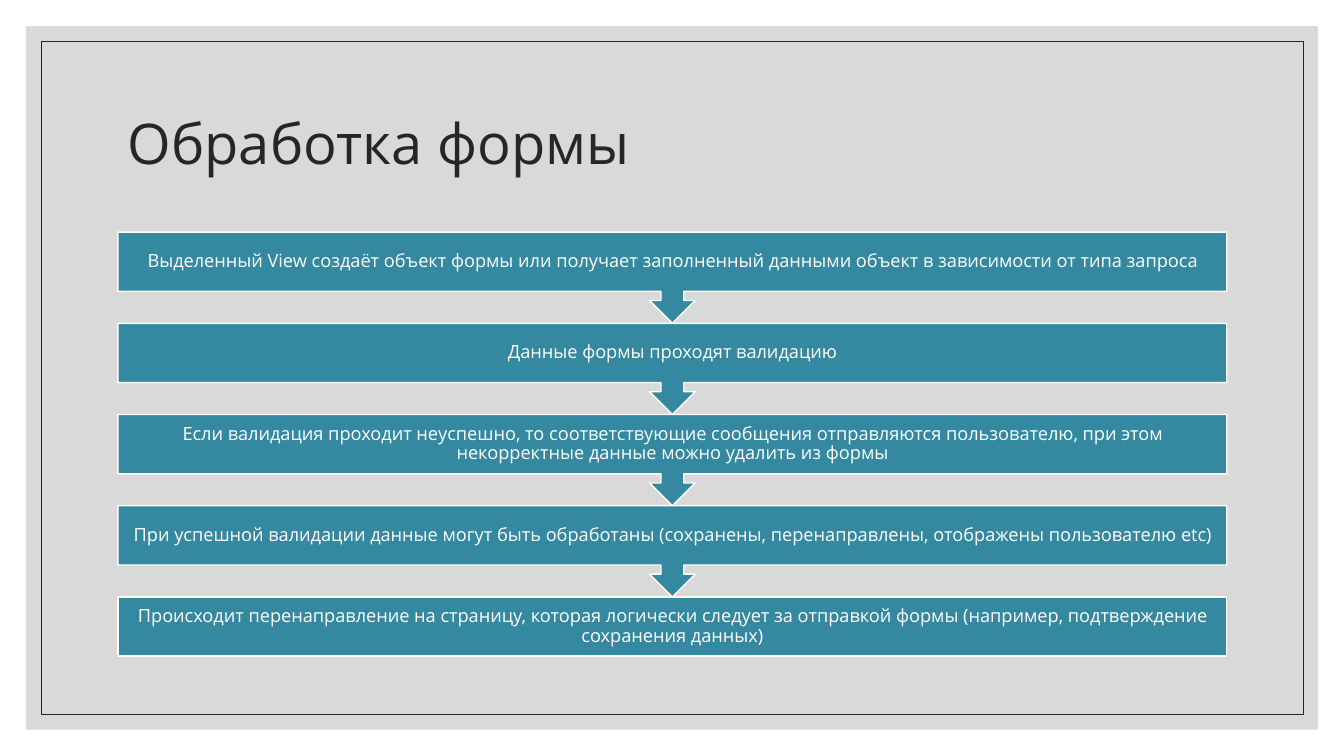
from dataclasses import dataclass

from pptx import Presentation
from pptx.dml.color import RGBColor
from pptx.enum import shapes, text
from pptx.util import Pt


@dataclass(frozen=True)
class Theme:
    font: str = "Open Sans"
    panel: str = "D9D9D9"
    ink: str = "262626"
    step: str = "3488A0"
    white: str = "FFFFFF"
    title_size: float = 40
    step_size: float = 13


@dataclass(frozen=True)
class Box:
    left: float
    top: float
    width: float
    height: float

    def points(self) -> tuple:
        return Pt(self.left), Pt(self.top), Pt(self.width), Pt(self.height)


THEME = Theme()
LEFT, WIDTH = 84.24, 792
FIRST_TOP, PITCH, BODY_RATIO = 165.8, 65.15, 0.65
STEPS = [
    "Выделенный View создаёт объект формы или получает заполненный данными объект "
    "в зависимости от типа запроса",
    "Данные формы проходят валидацию",
    "Если валидация проходит неуспешно, то соответствующие сообщения отправляются "
    "пользователю, при этом некорректные данные можно удалить из формы",
    "При успешной валидации данные могут быть обработаны (сохранены, перенаправлены, "
    "отображены пользователю etc)",
    "Происходит перенаправление на страницу, которая логически следует за отправкой "
    "формы (например, подтверждение сохранения данных)",
]


def add_shape(s, kind, box: Box, fill: str = "", line: str = "", weight: float = 1):
    sp = s.shapes.add_shape(kind, *box.points())
    sp.shadow.inherit = False
    if fill:
        sp.fill.solid()
        sp.fill.fore_color.rgb = RGBColor.from_string(fill)
    else:
        sp.fill.background()
    if line:
        sp.line.color.rgb = RGBColor.from_string(line)
        sp.line.width = Pt(weight)
    else:
        sp.line.fill.background()
    return sp


def add_label(s, box: Box, content: str, size: float, color: str, align) -> None:
    tf = s.shapes.add_textbox(*box.points()).text_frame
    tf.word_wrap = True
    tf.vertical_anchor = text.MSO_ANCHOR.MIDDLE
    tf.margin_left = tf.margin_right = tf.margin_top = tf.margin_bottom = Pt(7.2)
    p = tf.paragraphs[0]
    p.alignment = align
    p.line_spacing = 0.9
    r = p.add_run()
    r.text = content
    r.font.name = THEME.font
    r.font.size = Pt(size)
    r.font.color.rgb = RGBColor.from_string(color)


def add_step(s, index: int, content: str, is_last: bool) -> None:
    top = FIRST_TOP + index * PITCH
    body = Box(LEFT, top, WIDTH, PITCH * BODY_RATIO)
    if is_last:
        add_shape(s, shapes.MSO_SHAPE.RECTANGLE, body, THEME.step, THEME.white)
    else:
        # Turned upside down so that the arrow points to the next step
        sp = add_shape(s, shapes.MSO_SHAPE.UP_ARROW_CALLOUT,
                       Box(LEFT, top, WIDTH, PITCH), THEME.step, THEME.white)
        sp.rotation = 180
        sp.adjustments[3] = BODY_RATIO
    add_label(s, body, content, THEME.step_size, THEME.white, text.PP_ALIGN.CENTER)


prs = Presentation()
prs.slide_width, prs.slide_height = Pt(960), Pt(540)
s = prs.slides.add_slide(prs.slide_layouts[6])

# Panel and inner frame
add_shape(s, shapes.MSO_SHAPE.RECTANGLE, Box(18.6, 18.6, 922.8, 502.6), THEME.panel)
add_shape(s, shapes.MSO_SHAPE.RECTANGLE, Box(29.4, 29.4, 901.6, 481),
          line=THEME.ink, weight=0.5)

# Title
add_label(s, Box(LEFT, 50.4, WIDTH, 108), "Обработка формы",
          THEME.title_size, THEME.ink, text.PP_ALIGN.LEFT)

# Steps, drawn from the bottom up so each arrow lies over the next box
for index, content in reversed(list(enumerate(STEPS))):
    add_step(s, index, content, index == len(STEPS) - 1)

prs.save("out.pptx")
